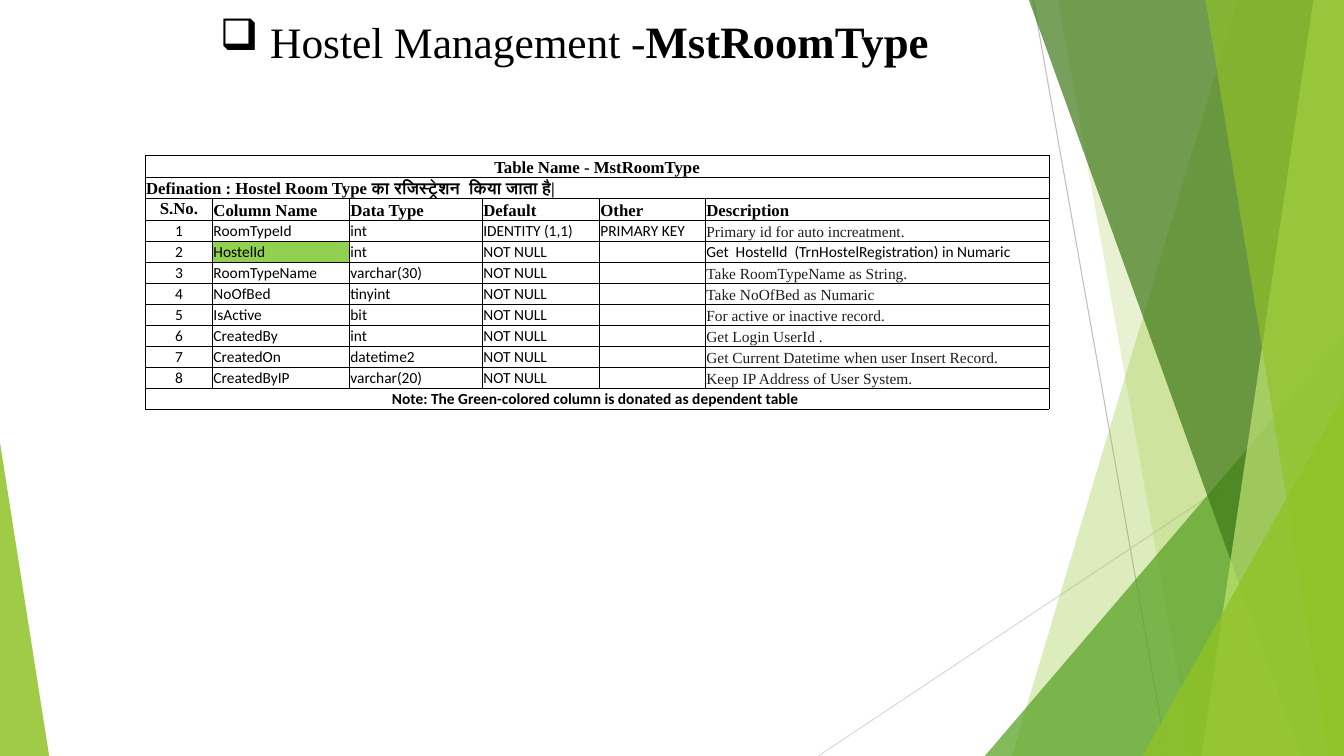
from lxml import etree
from pptx import Presentation
from pptx import util as u
from pptx.dml.color import RGBColor
from pptx.enum import shapes, text
from pptx.oxml.ns import qn

SERIF, SANS = "Times New Roman", "Calibri"
COLORS = {"black": "000000", "ink": "1F1F1F", "highlight": "92D050", "lime": "90C226",
          "green": "54A021", "forest": "3F7819", "pale": "C0E474", "grey": "BFBFBF",
          "light_grey": "D9D9D9"}
WIDTH, HEIGHT = 33.87, 19.05

TITLE = [("Hostel Management -", 31, False), ("MstRoomType", 32, True)]
TABLE_NAME = "Table Name - MstRoomType"
DEFINITION = "Defination : Hostel Room Type का रजिस्ट्रेशन  किया जाता है|"
HEADERS = ["S.No.", "Column Name", "Data Type", "Default", "Other", "Description"]
FIELDS = [
    ("RoomTypeId", "int", "IDENTITY (1,1)", "PRIMARY KEY", "Primary id for auto increatment."),
    ("HostelId", "int", "NOT NULL", "", "Get  HostelId  (TrnHostelRegistration) in Numaric"),
    ("RoomTypeName", "varchar(30)", "NOT NULL", "", "Take RoomTypeName as String."),
    ("NoOfBed", "tinyint", "NOT NULL", "", "Take NoOfBed as Numaric"),
    ("IsActive", "bit", "NOT NULL", "", "For active or inactive record."),
    ("CreatedBy", "int", "NOT NULL", "", "Get Login UserId ."),
    ("CreatedOn", "datetime2", "NOT NULL", "", "Get Current Datetime when user Insert Record."),
    ("CreatedByIP", "varchar(20)", "NOT NULL", "", "Keep IP Address of User System."),
]
NOTE = "Note: The Green-colored column is donated as dependent table "
DEPENDENT = "HostelId"
COLUMN_WIDTHS = [1.7, 3.45, 3.35, 2.95, 2.67, 8.66]
HEADING_HEIGHT, ROW_HEIGHT = 0.55, 0.53

LINES = [((26.04, 0), (29.41, HEIGHT), "grey"), ((WIDTH, 10.24), (20.62, HEIGHT), "light_grey")]
FACETS = [
    ("band", (31.19, 25.5), "lime", 30),
    ("band", (26.67, 30.05), "lime", 20),
    ("triangle", (24.82, 8.46, 9.05, 1), "green", 72),
    ("band", (25.93, 32.79), "forest", 70),
    ("band", (33.1, 30.28), "pale", 70),
    ("band", (30.38, 33.48), "lime", 65),
    ("triangle", (28.8, 9.98, 5.07, 1), "lime", 80),
    ("triangle", (0, 11.15, 1.24, 0), "lime", 85),
]


def rgb(name):
    return RGBColor.from_string(COLORS[name])


def write(paragraph, words, size=11, font=SANS, color="black", bold=False, align=None):
    if align is not None:
        paragraph.alignment = align
    if not words:
        etree.SubElement(paragraph._p, qn("a:endParaRPr"), sz=str(size * 100))
        return
    run = paragraph.add_run()
    run.text = words
    run.font.size, run.font.name, run.font.bold = u.Pt(size), font, bold
    run.font.color.rgb = rgb(color)


def add_line(slide, start, end, color):
    line = slide.shapes.add_connector(shapes.MSO_CONNECTOR.STRAIGHT,
                                      *[u.Cm(value) for value in start + end])
    line.line.color.rgb = rgb(color)
    line.line.width = u.Pt(0.75)
    etree.SubElement(line._element.spPr, qn("a:effectLst"))


def add_facet(slide, kind, place, color, opacity):
    if kind == "band":
        top_x, bottom_x = place
        corners = [(WIDTH, 0), (WIDTH, HEIGHT), (bottom_x, HEIGHT)]
        builder = slide.shapes.build_freeform(u.Cm(top_x), 0)
        builder.add_line_segments([(u.Cm(x), u.Cm(y)) for x, y in corners], close=True)
        shape = builder.convert_to_shape()
    else:
        left, top, width, apex = place
        shape = slide.shapes.add_shape(shapes.MSO_SHAPE.ISOSCELES_TRIANGLE, u.Cm(left),
                                       u.Cm(top), u.Cm(width), u.Cm(HEIGHT - top))
        shape.adjustments[0] = apex
    shape.shadow.inherit = False
    shape.line.fill.background()
    shape.fill.solid()
    shape.fill.fore_color.rgb = rgb(color)
    fill_color = shape._element.spPr.find(qn("a:solidFill"))[0]
    etree.SubElement(fill_color, qn("a:alpha"), val=str(opacity * 1000))


def add_title(slide):
    title = slide.shapes.title
    title.left, title.top, title.width, title.height = [u.Cm(v) for v in (3.96, 0.2, 21.03, 1.63)]
    frame = title.text_frame
    frame.word_wrap = True
    frame.auto_size = text.MSO_AUTO_SIZE.NONE
    frame.vertical_anchor = text.MSO_ANCHOR.MIDDLE
    paragraph = frame.paragraphs[0]
    properties = paragraph._p.get_or_add_pPr()
    properties.set("marL", str(u.Cm(1.27)))
    properties.set("indent", str(-u.Cm(1.27)))
    etree.SubElement(properties, qn("a:buChar"), char="❑")
    for words, size, bold in TITLE:
        write(paragraph, words, size=size, font=SERIF, bold=bold, align=text.PP_ALIGN.CENTER)


def prepare_cell(cell, anchor, highlighted):
    cell.margin_left = cell.margin_right = cell.margin_top = u.Cm(0.02)
    cell.margin_bottom = 0
    cell.vertical_anchor = anchor
    for side in ("lnL", "lnR", "lnT", "lnB"):
        border = etree.SubElement(cell._tc.get_or_add_tcPr(), qn("a:" + side), w=str(u.Pt(0.5)))
        fill = etree.SubElement(border, qn("a:solidFill"))
        etree.SubElement(fill, qn("a:srgbClr"), val=COLORS["black"])
    if highlighted:
        cell.fill.solid()
        cell.fill.fore_color.rgb = rgb("highlight")
    else:
        cell.fill.background()


def cell_format(row, column, last_row, record):
    if row < 3:
        centred = row == 0 or (row == 2 and column == 0)
        style = dict(size=12, font=SERIF, bold=True)
    else:
        centred = column == 0 or row == last_row
        style = dict(bold=row == last_row)
        if column == 5 and record[1] != DEPENDENT:
            style.update(font=SERIF, color="ink")
    style["align"] = text.PP_ALIGN.CENTER if centred else text.PP_ALIGN.LEFT
    return style


def add_room_table(slide):
    blank = [""] * (len(HEADERS) - 1)
    numbered = [[str(number), *field] for number, field in enumerate(FIELDS, 1)]
    records = [[TABLE_NAME, *blank], [DEFINITION, *blank], HEADERS, *numbered, [NOTE, *blank]]
    last_row = len(records) - 1
    heights = [HEADING_HEIGHT if row in (0, 2) else ROW_HEIGHT for row in range(len(records))]
    table = slide.shapes.add_table(len(records), len(HEADERS), u.Cm(3.66), u.Cm(3.91),
                                   u.Cm(sum(COLUMN_WIDTHS)), u.Cm(sum(heights))).table
    table.first_row = table.horz_banding = False
    for column, width in zip(table.columns, COLUMN_WIDTHS):
        column.width = u.Cm(width)
    for row, record in enumerate(records):
        table.rows[row].height = u.Cm(heights[row])
        for column, words in enumerate(record):
            cell = table.cell(row, column)
            numbering = column == 0 and 2 <= row < last_row
            anchor = text.MSO_ANCHOR.MIDDLE if numbering else text.MSO_ANCHOR.BOTTOM
            prepare_cell(cell, anchor, words == DEPENDENT)
            write(cell.text_frame.paragraphs[0], words,
                  **cell_format(row, column, last_row, record))
    for row in (0, 1, last_row):
        table.cell(row, 0).merge(table.cell(row, len(HEADERS) - 1))


def main():
    presentation = Presentation()
    presentation.slide_width, presentation.slide_height = u.Cm(WIDTH), u.Cm(HEIGHT)
    slide = presentation.slides.add_slide(presentation.slide_layouts[5])
    for line in LINES:
        add_line(slide, *line)
    for facet in FACETS:
        add_facet(slide, *facet)
    add_title(slide)
    add_room_table(slide)
    presentation.save("out.pptx")


if __name__ == "__main__":
    main()
